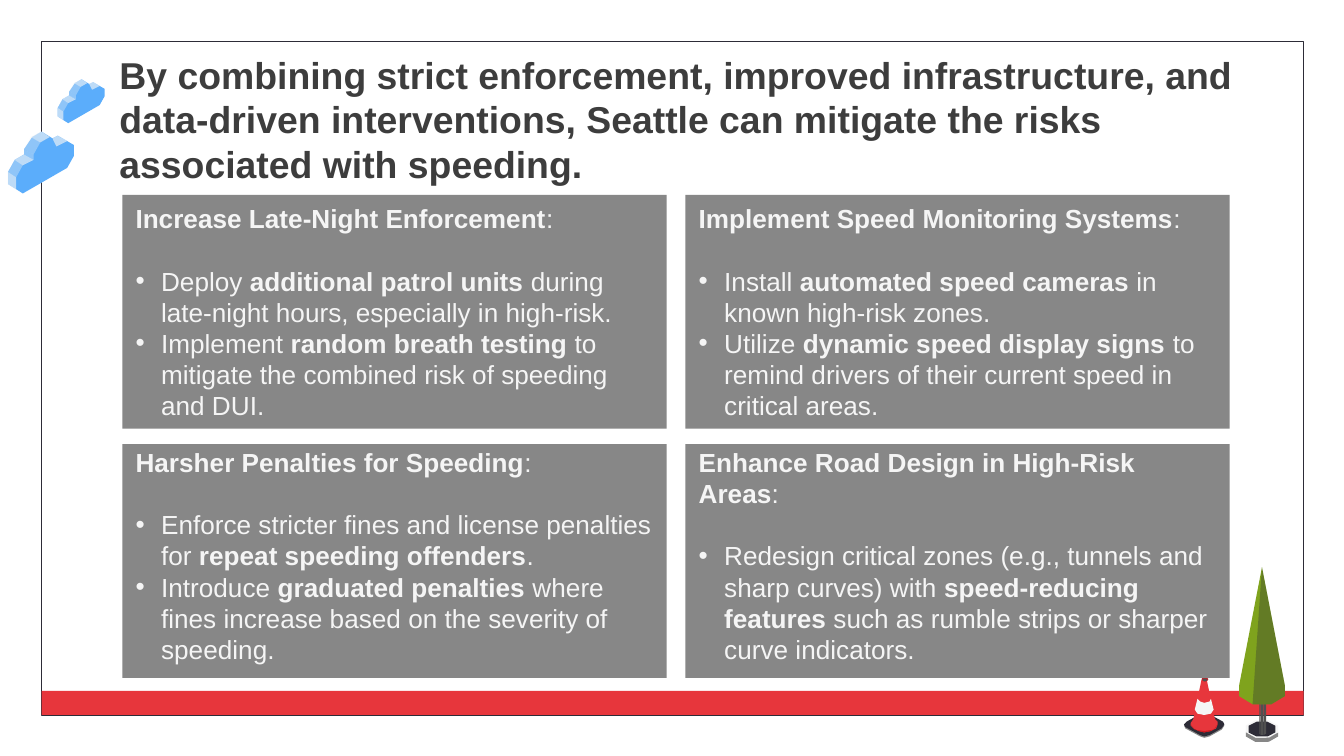
"""Build a slide of four speeding remedies under one headline."""
import pptx
import pptx.util
import pptx.dml.color
import pptx.enum.shapes
import pptx.enum.text
import pptx.oxml
import pptx.oxml.ns

COLS, ROWS = 1000, 562.5
HUES = {"ink": "3D3D3D", "line": "2D2C37", "red": "E7363C", "deep": "CE181E",
        "rust": "B1282F", "gray": "878787", "pale": "F5F5F5", "sky": "5BADFB",
        "leaf": "7FA31D", "bark": "505050", "soil": "5E4439", "stone": "A39C95"}
ANCHOR = pptx.enum.text.MSO_ANCHOR
KIND = pptx.enum.shapes.MSO_SHAPE

CARDS = [
    (0, 0, "*Increase Late-Night Enforcement*:", [
        "Deploy *additional patrol units* during late-night hours, especially in high-risk.",
        "Implement *random breath testing* to mitigate the combined risk of speeding and DUI."]),
    (0, 1, "*Harsher Penalties for Speeding*:", [
        "Enforce stricter fines and license penalties for *repeat speeding offenders*.",
        "Introduce *graduated penalties* where fines increase based on the severity of speeding."]),
    (1, 0, "*Implement Speed Monitoring Systems*:", [
        "Install *automated speed cameras* in known high-risk zones.",
        "Utilize *dynamic speed display signs* to remind drivers of their current speed in "
        "critical areas."]),
    (1, 1, "*Enhance Road Design in High-Risk Areas*:", [
        "Redesign critical zones (e.g., tunnels and sharp curves) with *speed-reducing features* "
        "such as rumble strips or sharper curve indicators."]),
]

CLOUD = [
    ("sky", 100, [(25, 0), (18, 4), (12, 13), (12, 17), (5, 21), (0, 30), (0, 39), (11, 46),
                  (44, 27), (49, 18), (49, 10), (37, 3), (33, 5)]),
    ("pale", 64, [(25, 0), (17, 4), (24, 8), (31, 4)]),
    ("pale", 64, [(12, 17), (5, 21), (11, 25), (19, 21)]),
    ("pale", 34, [(5, 21), (0, 30), (6, 34), (11, 25)]),
    ("pale", 34, [(12, 13), (12, 17), (19, 21), (19, 17)]),
    ("pale", 64, [(0, 30), (0, 39), (6, 43), (6, 34)]),
    ("pale", 64, [(37, 3), (33, 5), (36, 11), (44, 7)]),
    ("pale", 34, [(17, 4), (12, 13), (19, 17), (24, 8)]),
]

TREE = [
    ("gray", 100, [(951, 545), (942, 548), (944, 552), (951, 548)]),
    ("pale", 100, [(934, 536), (927, 540), (927, 545), (934, 549), (944, 549), (951, 545),
                   (951, 540), (944, 536)]),
    ("stone", 100, [(936, 538), (931, 540), (931, 542), (947, 542), (947, 540), (942, 538)]),
    ("soil", 100, [(936, 540), (931, 542), (931, 544), (936, 547), (942, 547), (947, 544),
                   (947, 542), (942, 540)]),
    ("gray", 100, [(934, 549), (933, 550), (934, 552), (944, 552), (944, 549)]),
    ("gray", 100, [(927, 545), (927, 548), (934, 552), (934, 549)]),
    ("line", 100, [(935, 537), (929, 540), (929, 545), (935, 548), (943, 548), (949, 545),
                   (949, 540), (943, 537)]),
    ("bark", 100, [(938, 521), (938, 547), (940, 547), (940, 521)]),
    ("bark", 100, [(942, 520), (940, 521), (940, 547), (942, 546)]),
    ("bark", 100, [(937, 520), (937, 546), (938, 547), (938, 521)]),
    ("bark", 100, [(938, 518), (937, 519), (937, 520), (938, 521), (940, 521), (942, 520),
                   (942, 519), (940, 518)]),
    ("leaf", 100, [(939, 422), (922, 510), (922, 518), (932, 524), (946, 524), (956, 518),
                   (956, 510)]),
    ("line", 33, [(939, 422), (932, 524), (946, 524), (956, 518), (956, 510)]),
]

BASE = [(896, 531), (892, 532), (883, 537), (881, 539), (882, 541), (893, 547), (896, 548),
        (900, 547), (909, 542), (911, 539), (910, 537), (899, 531)]
CONE = [
    ("gray", 100, [(x, y + 1) for x, y in BASE]),
    ("line", 100, BASE),
    ("red", 100, [(888, 535), (886, 538), (886, 540), (888, 542), (892, 544), (896, 545),
                  (901, 544), (905, 542), (906, 539), (906, 537), (904, 535)]),
    ("deep", 100, [(886, 539), (888, 542), (892, 544), (896, 545), (901, 544), (905, 541),
                   (906, 539), (903, 543), (896, 544), (889, 543)]),
    ("red", 100, [(894, 506), (888, 535), (890, 539), (896, 540), (902, 539), (904, 535),
                  (898, 506)]),
    ("pale", 100, [(891, 520), (889, 528), (891, 531), (896, 532), (901, 531), (903, 528),
                   (901, 520), (900, 522), (896, 523), (893, 522)]),
]


def write(frame, texts, size=14, hue="pale", bold=False, bullet=False, gap=0):
    """Fill a frame with texts; stars switch bold on and off."""
    for i, text in enumerate(texts):
        para = frame.paragraphs[0] if i == 0 else frame.add_paragraph()
        para.alignment = pptx.enum.text.PP_ALIGN.LEFT
        para.line_spacing = pptx.util.Pt(1.19 * size)
        if i == 1:
            para.space_before = pptx.util.Pt(gap)
        if bullet and i:
            dent = pptx.util.Inches(0.19)
            prop = para._p.get_or_add_pPr()
            prop.set("marL", str(dent))
            prop.set("indent", str(-dent))
            space = pptx.oxml.ns.nsdecls("a")
            for xml in (f'<a:buClr {space}><a:srgbClr val="{HUES[hue]}"/></a:buClr>',
                        f'<a:buFont {space} typeface="Arial"/>',
                        f'<a:buChar {space} char="•"/>'):
                prop.append(pptx.oxml.parse_xml(xml))
        for n, part in enumerate(text.split("*")):
            if part:
                run = para.add_run()
                run.text = part
                run.font.name = "Arial"
                run.font.size = pptx.util.Pt(size)
                run.font.bold = bold or n % 2 == 1
                run.font.color.rgb = pptx.dml.color.RGBColor.from_string(HUES[hue])


class Deck:
    """Hold the style and the current slide, measured in grid cells."""

    def __init__(self):
        self.file = pptx.Presentation()
        self.file.slide_width = pptx.util.Inches(10)
        self.file.slide_height = pptx.util.Inches(10 * 9 / 16)
        self.slide = self.file.slides.add_slide(self.file.slide_layouts[6])

    def x(self, cols):
        """Turn columns into a length."""
        return round(self.file.slide_width * cols / COLS)

    def y(self, rows):
        """Turn rows into a length."""
        return round(self.file.slide_height * rows / ROWS)

    def paint(self, shape, fill=None, line=None, alpha=100):
        """Set fill, line and see-through share of a shape."""
        shape.shadow.inherit = False
        if fill:
            shape.fill.solid()
            shape.fill.fore_color.rgb = pptx.dml.color.RGBColor.from_string(HUES[fill])
            if alpha < 100:
                tint = shape._element.spPr.find(pptx.oxml.ns.qn("a:solidFill"))[0]
                tint.append(pptx.oxml.parse_xml(
                    f'<a:alpha {pptx.oxml.ns.nsdecls("a")} val="{alpha * 1000}"/>'))
        else:
            shape.fill.background()
        if line:
            shape.line.color.rgb = pptx.dml.color.RGBColor.from_string(HUES[line])
            shape.line.width = pptx.util.Pt(0.75)
        else:
            shape.line.fill.background()
        return shape

    def block(self, x, y, w, h, kind=KIND.RECTANGLE, **look):
        """Add a preset shape."""
        shape = self.slide.shapes.add_shape(kind, self.x(x), self.y(y), self.x(w), self.y(h))
        return self.paint(shape, **look)

    def art(self, parts, left=0, top=0, scale=1):
        """Draw a list of filled outlines."""
        for hue, alpha, points in parts:
            spots = [(self.x(left + x * scale), self.y(top + y * scale)) for x, y in points]
            path = self.slide.shapes.build_freeform(*spots[0])
            path.add_line_segments(spots[1:], close=True)
            self.paint(path.convert_to_shape(), fill=hue, alpha=alpha)

    def card(self, col, row, head, items):
        """Add a gray card with a heading and bullets."""
        shape = self.block(91 + 419 * col, 145 + 185.5 * row, 405, 174, fill="gray")
        frame = shape.text_frame
        frame.word_wrap = True
        frame.vertical_anchor = ANCHOR.BOTTOM if row else ANCHOR.MIDDLE
        frame.margin_left = frame.margin_right = self.x(10)
        frame.margin_top = frame.margin_bottom = self.y(10)
        write(frame, [head, *items], bullet=True, gap=16.8)

    def title(self, text):
        """Add the headline."""
        box = self.slide.shapes.add_textbox(self.x(79), self.y(34), self.x(894), self.y(111))
        box.text_frame.word_wrap = True
        write(box.text_frame, [text], size=20, hue="ink", bold=True)


def main():
    """Build and save the slide."""
    deck = Deck()
    deck.block(31, 31, 939, 501, line="line")
    deck.block(31, 514, 939, 18, fill="red")
    deck.art(TREE)
    deck.art(CONE)
    deck.block(894, 504, 5, 3, kind=KIND.OVAL, fill="rust")
    deck.block(895, 505, 3, 2, kind=KIND.OVAL, fill="bark")
    deck.art(CLOUD, 6, 98)
    deck.art(CLOUD, 43, 59, 0.71)
    for card in CARDS:
        deck.card(*card)
    deck.title("By combining strict enforcement, improved infrastructure, and data-driven "
               "interventions, Seattle can mitigate the risks associated with speeding.")
    deck.file.save("out.pptx")


if __name__ == "__main__":
    main()
